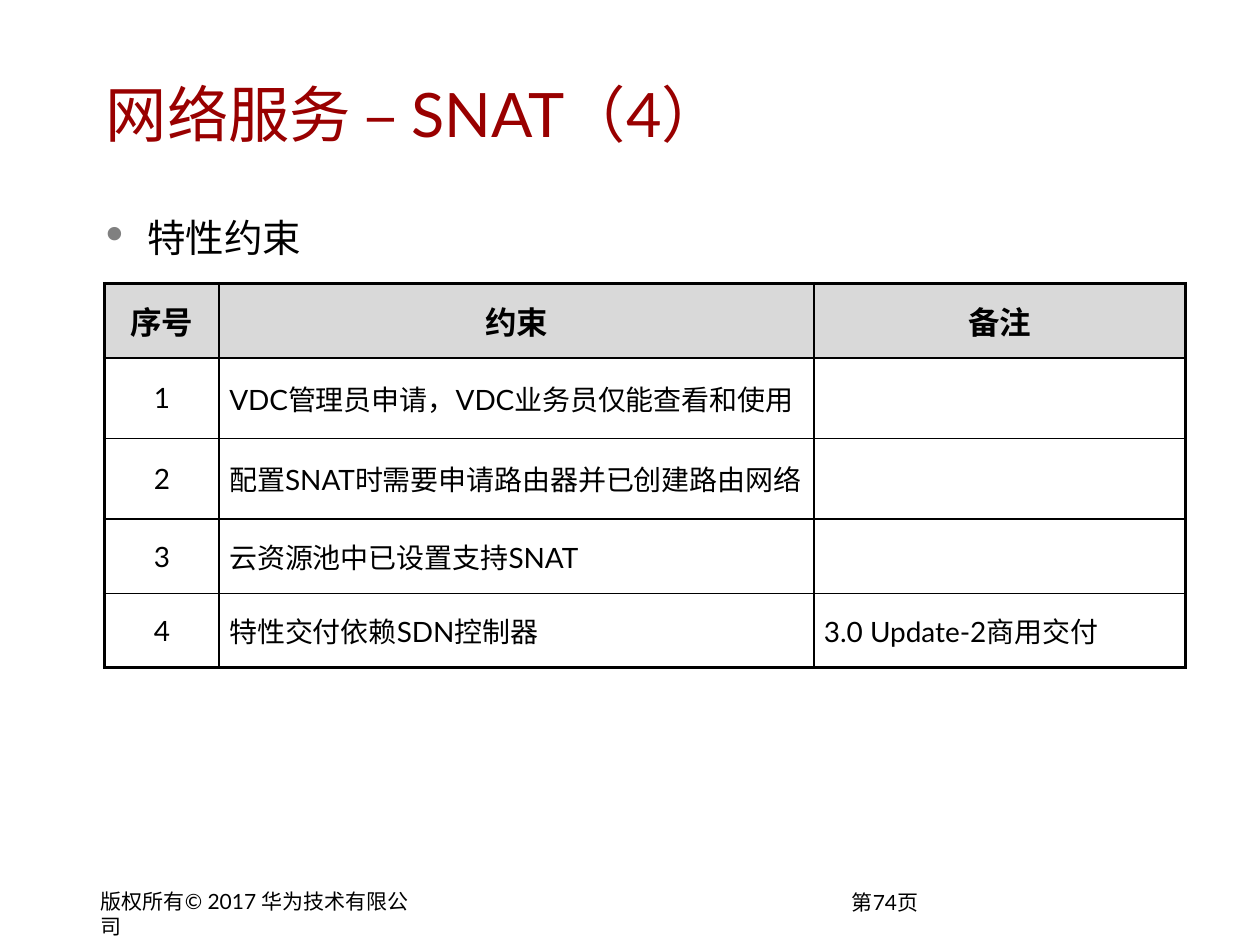
from lxml import etree
from pptx import Presentation
from pptx.dml.color import RGBColor
from pptx.enum import text
from pptx.oxml import ns
from pptx.util import Inches, Pt

FONT = "Lato"
BLACK = RGBColor(0, 0, 0)
TITLE_RED = RGBColor(0x99, 0, 0)
HEADER_GREY = RGBColor(0xD9, 0xD9, 0xD9)
BULLET_GREY = RGBColor(0x80, 0x80, 0x80)
THIN, THICK = 1, 2.25

COLUMN_WIDTHS = (0.91, 4.72, 2.95)
ONE_LINE, TWO_LINES = 0.59, 0.64
ROW_HEIGHTS = (ONE_LINE, TWO_LINES, TWO_LINES, ONE_LINE, ONE_LINE)
HEADINGS = ("序号", "约束", "备注")
CONSTRAINTS = (
    ("VDC管理员申请，VDC业务员仅能查看和使用", ""),
    ("配置SNAT时需要申请路由器并已创建路由网络", ""),
    ("云资源池中已设置支持SNAT", ""),
    ("特性交付依赖SDN控制器", "3.0 Update-2商用交付"),
)


def add_child(parent, tag, **attributes):
    return etree.SubElement(parent, ns.qn(tag), attributes)


def add_color(parent, color):
    add_child(parent, "a:srgbClr", val=str(color))


def add_span(para, words, size, color=BLACK, bold=False):
    span = para.add_run()
    span.text = words
    span.font.name = FONT
    span.font.size = Pt(size)
    span.font.bold = bold
    span.font.color.rgb = color


def add_text(page, left, top, width, height, words, size, color=BLACK,
             anchor=text.MSO_ANCHOR.TOP):
    """Add a wrapped text box and return its paragraph."""
    box = page.shapes.add_textbox(
        Inches(left), Inches(top), Inches(width), Inches(height))
    frame = box.text_frame
    frame.word_wrap = True
    frame.vertical_anchor = anchor
    frame.margin_left = frame.margin_right = Inches(0.09)
    frame.margin_top = frame.margin_bottom = Inches(0.04)
    para = frame.paragraphs[0]
    add_span(para, words, size, color)
    return para


def set_bullet(para, indent):
    """Hang a small round bullet, which Wingdings keeps under the letter l."""
    properties = para._p.get_or_add_pPr()
    properties.set("marL", str(Inches(indent)))
    properties.set("indent", str(-Inches(indent)))
    add_color(add_child(properties, "a:buClr"), BULLET_GREY)
    add_child(properties, "a:buSzPct", val="60000")
    add_child(properties, "a:buFont", typeface="Wingdings", charset="2")
    add_child(properties, "a:buChar", char="l")


def set_borders(cell, widths):
    """Draw the left, right, top and bottom lines, with widths in points."""
    properties = cell._tc.get_or_add_tcPr()
    for side, width in zip("LRTB", widths):
        line = add_child(properties, f"a:ln{side}", w=str(Pt(width)))
        add_color(add_child(line, "a:solidFill"), BLACK)


def fill_cell(cell, words, is_header, centered):
    cell.vertical_anchor = text.MSO_ANCHOR.MIDDLE
    cell.margin_left = cell.margin_right = Inches(0.08)
    cell.margin_top = cell.margin_bottom = 0
    if is_header:
        cell.fill.solid()
        cell.fill.fore_color.rgb = HEADER_GREY
    else:
        cell.fill.background()
    para = cell.text_frame.paragraphs[0]
    para.alignment = text.PP_ALIGN.CENTER if centered else text.PP_ALIGN.LEFT
    if words:
        add_span(para, words, 18 if is_header else 16, bold=is_header)


def add_constraint_table(page, left, top):
    rows = [HEADINGS]
    rows += [(str(number), *row) for number, row in enumerate(CONSTRAINTS, 1)]
    last_row, last_column = len(rows) - 1, len(HEADINGS) - 1
    table = page.shapes.add_table(
        len(rows), len(HEADINGS), Inches(left), Inches(top),
        Inches(sum(COLUMN_WIDTHS)), Inches(sum(ROW_HEIGHTS))).table
    for column, width in zip(table.columns, COLUMN_WIDTHS):
        column.width = Inches(width)
    for r, row in enumerate(rows):
        table.rows[r].height = Inches(ROW_HEIGHTS[r])
        for c, words in enumerate(row):
            cell = table.cell(r, c)
            on_edge = (c == 0, c == last_column, r == 0, r == last_row)
            set_borders(cell, [THICK if edge else THIN for edge in on_edge])
            fill_cell(cell, words, r == 0, r == 0 or c == 0)


def main():
    deck = Presentation()
    deck.slide_width, deck.slide_height = Inches(10), Inches(7.5)
    page = deck.slides.add_slide(deck.slide_layouts[6])

    add_text(page, 6.67, 7.02, 0.72, 0.29, "第74页", 12)
    add_text(page, 0.71, 7.01, 2.79, 0.29, "版权所有© 2017 华为技术有限公司", 12)
    add_text(page, 0.75, 0.42, 8.66, 0.95, "网络服务 – SNAT（4）", 35,
             TITLE_RED, text.MSO_ANCHOR.MIDDLE)
    topic = add_text(page, 0.75, 1.51, 8.66, 0.7, "特性约束", 22)
    set_bullet(topic, 0.33)
    topic.line_spacing = 1.4
    add_constraint_table(page, 0.83, 2.25)

    deck.save("out.pptx")


if __name__ == "__main__":
    main()
